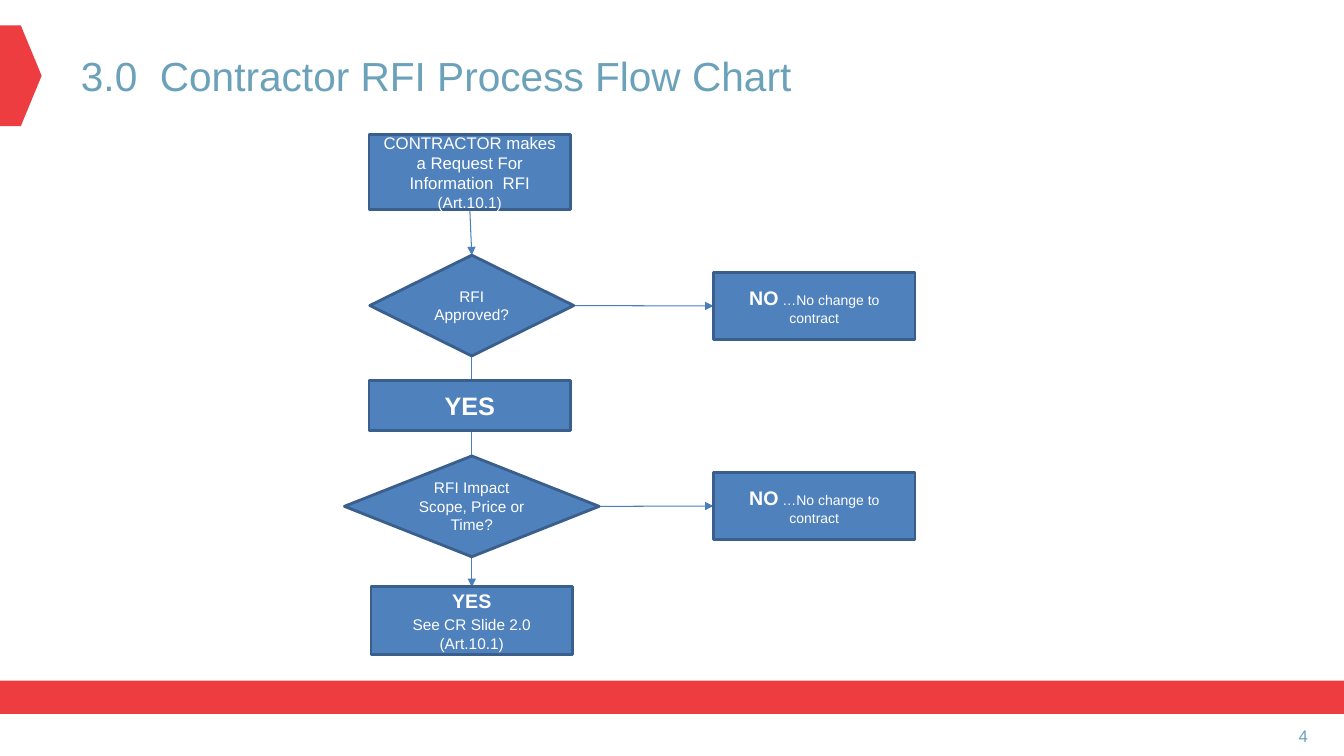
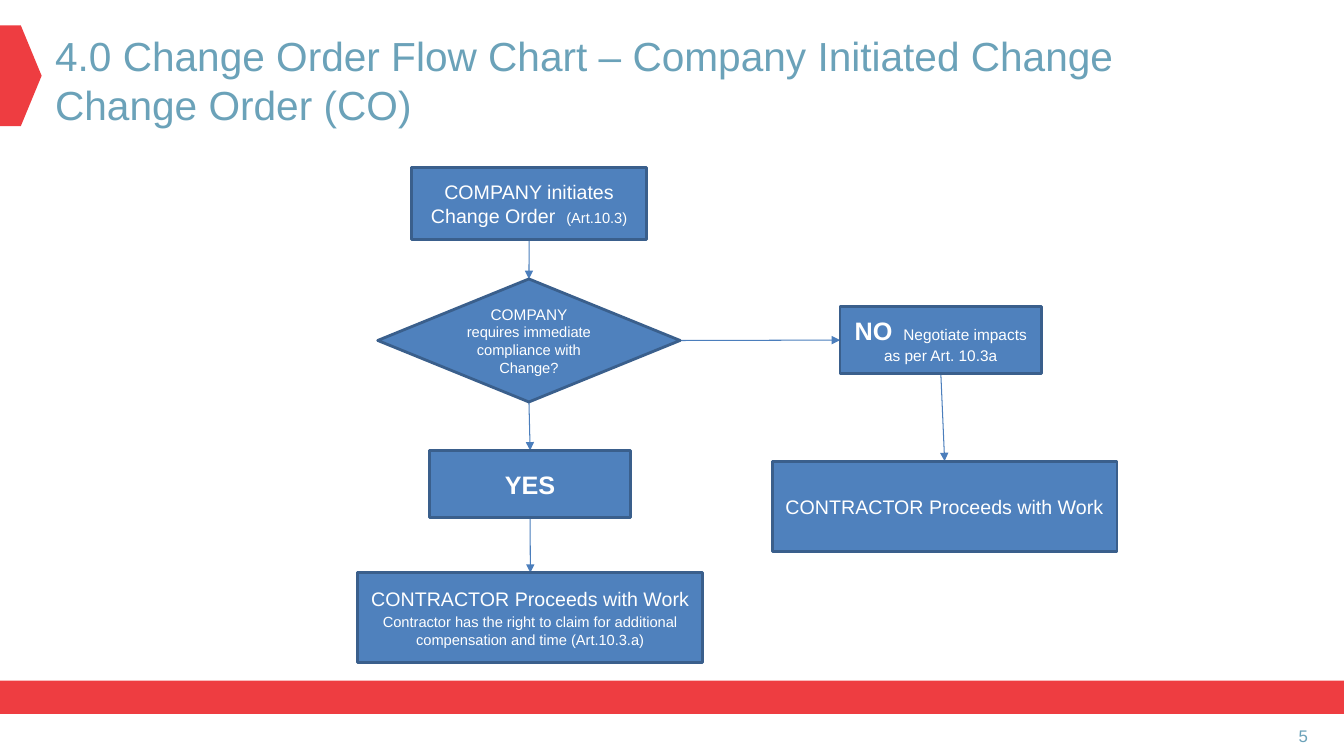
"""Build the two contract change flow chart slides."""
from typing import NamedTuple

from lxml import etree
from pptx import Presentation
from pptx.dml.color import RGBColor
from pptx.enum.shapes import MSO_CONNECTOR, MSO_SHAPE
from pptx.enum.text import MSO_ANCHOR, PP_ALIGN
from pptx.oxml.ns import qn
from pptx.util import Cm, Pt

RECTANGLE = MSO_SHAPE.RECTANGLE
DECISION = MSO_SHAPE.FLOWCHART_DECISION
PENTAGON = MSO_SHAPE.PENTAGON
STRAIGHT = MSO_CONNECTOR.STRAIGHT
MIDDLE = MSO_ANCHOR.MIDDLE
LEFT, CENTER, RIGHT = PP_ALIGN.LEFT, PP_ALIGN.CENTER, PP_ALIGN.RIGHT
TOP_SIDE, LEFT_SIDE, BOTTOM_SIDE, RIGHT_SIDE = range(4)

COLORS = {
    "band": "EE3D41",
    "heading": "6BA2B9",
    "box": "4F81BD",
    "outline": "3A5F8C",
    "arrow": "4B7EBC",
    "label": "FFFFFF",
}
FONT = "Arial"
PAGE_WIDTH, PAGE_HEIGHT = 33.87, 19.05
WIDE_INSETS = (0.34, 0.17)
BOX_INSETS = (0.25, 0.13)


class Area(NamedTuple):
    """Left, top, width and height in centimetres."""

    left: float
    top: float
    width: float
    height: float


class Span(NamedTuple):
    """A piece of text in one style."""

    text: str
    size: float
    bold: bool = False


class Node(NamedTuple):
    """A box of the flow chart with its paragraphs."""

    area: Area
    paras: list[list[Span]]
    shape: MSO_SHAPE = RECTANGLE
    insets: tuple[float, float] = BOX_INSETS


class Link(NamedTuple):
    """An arrow between the sides of two nodes."""

    start: str
    start_side: int
    end: str
    end_side: int


class Chart(NamedTuple):
    """The content of one slide."""

    title: list[str]
    title_area: Area
    number: str
    nodes: dict[str, Node]
    links: list[Link]


def color(name: str) -> RGBColor:
    """Return a palette colour."""
    return RGBColor.from_string(COLORS[name])


def to_lengths(area: Area) -> list[Cm]:
    """Return the area as slide lengths."""
    return [Cm(value) for value in area]


def set_frame(frame, insets: tuple[float, float]) -> None:
    """Wrap and centre the text vertically within its insets."""
    frame.word_wrap = True
    frame.vertical_anchor = MIDDLE
    frame.margin_left = frame.margin_right = Cm(insets[0])
    frame.margin_top = frame.margin_bottom = Cm(insets[1])


def add_span(para, span: Span, color_name: str) -> None:
    """Add one styled run."""
    run = para.add_run()
    run.text = span.text
    run.font.name = FONT
    run.font.size = Pt(span.size)
    run.font.bold = span.bold
    run.font.color.rgb = color(color_name)


def add_heading(page, lines: list[str], size: float, area: Area, align: PP_ALIGN) -> None:
    """Add a text box in the heading colour."""
    frame = page.shapes.add_textbox(*to_lengths(area)).text_frame
    set_frame(frame, WIDE_INSETS)
    para = frame.paragraphs[0]
    para.alignment = align
    for index, line in enumerate(lines):
        if index:
            para.add_line_break()
        add_span(para, Span(line, size), "heading")


def add_filled(page, shape: MSO_SHAPE, area: Area, fill: str):
    """Add a plain filled shape without outline or shadow."""
    box = page.shapes.add_shape(shape, *to_lengths(area))
    box.shadow.inherit = False
    box.fill.solid()
    box.fill.fore_color.rgb = color(fill)
    box.line.fill.background()
    return box


def add_node(page, node: Node):
    """Add an outlined box with its text."""
    box = add_filled(page, node.shape, node.area, "box")
    box.line.color.rgb = color("outline")
    box.line.width = Pt(2)
    frame = box.text_frame
    set_frame(frame, node.insets)
    for index, spans in enumerate(node.paras):
        para = frame.add_paragraph() if index else frame.paragraphs[0]
        para.alignment = CENTER
        if index:
            para.space_before = Pt(spans[0].size * 0.2)
        for span in spans:
            add_span(para, span, "label")
    return box


def add_link(page, link: Link, boxes: dict) -> None:
    """Join two boxes with an arrow that runs behind them."""
    arrow = page.shapes.add_connector(STRAIGHT, 0, 0, 0, 0)
    arrow.begin_connect(boxes[link.start], link.start_side)
    arrow.end_connect(boxes[link.end], link.end_side)
    arrow.line.color.rgb = color("arrow")
    arrow.line.width = Pt(0.75)
    etree.SubElement(arrow.line._get_or_add_ln(), qn("a:tailEnd"), type="triangle")
    etree.SubElement(arrow._element.spPr, qn("a:effectLst"))
    page.shapes._spTree.insert(2, arrow._element)


def add_page(deck, chart: Chart) -> None:
    """Add one slide with its bands, title, number and flow chart."""
    page = deck.slides.add_slide(deck.slide_layouts[6])
    add_filled(page, PENTAGON, Area(0, 0.64, 1.05, 2.54), "band")
    add_filled(page, RECTANGLE, Area(0, 17.15, PAGE_WIDTH, 0.84), "band")
    add_heading(page, chart.title, 29, chart.title_area, LEFT)
    add_heading(page, [chart.number], 12, Area(31.88, 18.03, 1.42, 1.02), RIGHT)
    boxes = {name: add_node(page, node) for name, node in chart.nodes.items()}
    for link in chart.links:
        add_link(page, link, boxes)


NO_CHANGE = [[Span("NO", 14, True), Span(" …No change to contract", 10)]]
YES = [[Span("YES", 18, True)]]
PROCEEDS = [Span("CONTRACTOR Proceeds with Work", 14)]

CHARTS = [
    Chart(
        ["3.0  Contractor RFI Process Flow Chart"],
        Area(1.7, 0.48, 26.52, 2.82),
        "4",
        {
            "request": Node(
                Area(9.3, 3.38, 5.08, 1.91),
                [[
                    Span("CONTRACTOR makes a Request For Information  RFI ", 12),
                    Span("(Art.10.1)", 11),
                ]],
                insets=WIDE_INSETS,
            ),
            "approved": Node(
                Area(9.32, 6.43, 5.14, 2.54), [[Span("RFI Approved?", 11)]], DECISION
            ),
            "rejected": Node(Area(17.98, 6.86, 5.08, 1.7), NO_CHANGE),
            "yes": Node(Area(9.3, 9.58, 5.08, 1.27), YES),
            "impact": Node(
                Area(8.68, 11.49, 6.42, 2.54),
                [[Span("RFI Impact Scope, Price or Time?", 11)]],
                DECISION,
            ),
            "no impact": Node(Area(17.98, 11.9, 5.08, 1.7), NO_CHANGE),
            "change": Node(
                Area(9.35, 14.79, 5.08, 1.7),
                [[Span("YES", 14, True)], [Span("See CR Slide 2.0 (Art.10.1)", 11)]],
            ),
        },
        [
            Link("request", BOTTOM_SIDE, "approved", TOP_SIDE),
            Link("approved", RIGHT_SIDE, "rejected", LEFT_SIDE),
            Link("approved", BOTTOM_SIDE, "change", TOP_SIDE),
            Link("impact", RIGHT_SIDE, "no impact", LEFT_SIDE),
        ],
    ),
    Chart(
        ["4.0 Change Order Flow Chart – Company Initiated Change", "Change Order (CO)"],
        Area(1.05, 0.61, 27.5, 2.82),
        "5",
        {
            "order": Node(
                Area(10.37, 4.23, 5.93, 1.81),
                [[Span("COMPANY initiates Change Order  ", 14), Span("(Art.10.3)", 10.5)]],
                insets=WIDE_INSETS,
            ),
            "immediate": Node(
                Area(9.52, 7.03, 7.62, 3.1),
                [[
                    Span("COMPANY ", 11),
                    Span("requires immediate compliance with Change?", 10.5),
                ]],
                DECISION,
            ),
            "negotiate": Node(
                Area(21.17, 7.72, 5.08, 1.7),
                [[
                    Span("NO", 18, True),
                    Span("  ", 14),
                    Span("Negotiate impacts as per Art. 10.3a", 11),
                ]],
            ),
            "yes": Node(Area(10.82, 11.35, 5.08, 1.7), YES),
            "claim": Node(
                Area(9.02, 14.43, 8.69, 2.27),
                [
                    PROCEEDS,
                    [Span(
                        "Contractor has the right to claim for additional "
                        "compensation and time (Art.10.3.a)",
                        10.5,
                    )],
                ],
            ),
            "work": Node(Area(19.46, 11.62, 8.69, 2.27), [PROCEEDS]),
        },
        [
            Link("order", BOTTOM_SIDE, "immediate", TOP_SIDE),
            Link("immediate", RIGHT_SIDE, "negotiate", LEFT_SIDE),
            Link("immediate", BOTTOM_SIDE, "yes", TOP_SIDE),
            Link("negotiate", BOTTOM_SIDE, "work", TOP_SIDE),
            Link("yes", BOTTOM_SIDE, "claim", TOP_SIDE),
        ],
    ),
]


def main() -> None:
    """Build and save the deck."""
    deck = Presentation()
    deck.slide_width, deck.slide_height = Cm(PAGE_WIDTH), Cm(PAGE_HEIGHT)
    for chart in CHARTS:
        add_page(deck, chart)
    deck.save("out.pptx")


if __name__ == "__main__":
    main()
